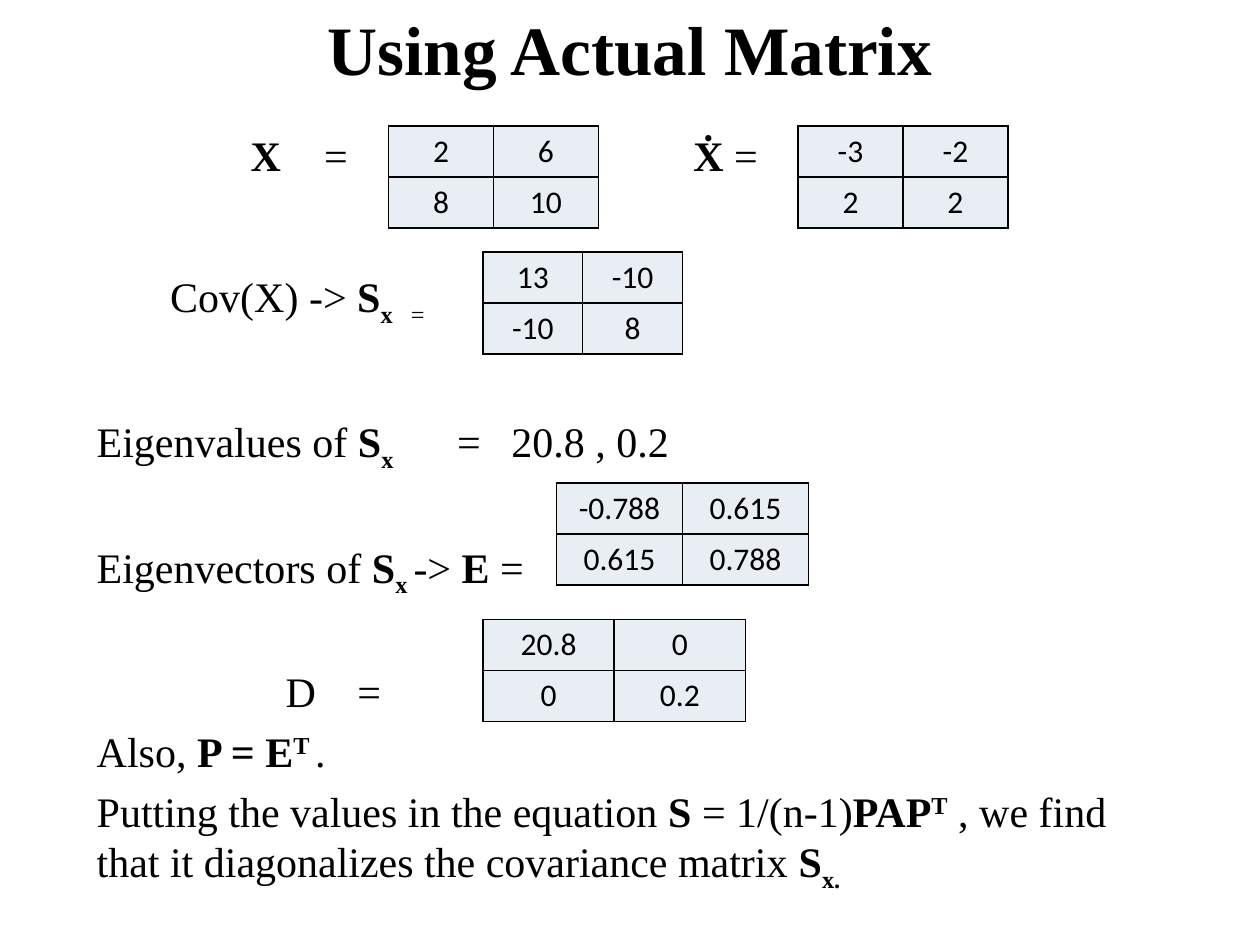
from lxml.etree import SubElement
from pptx import Presentation
from pptx.dml.color import RGBColor
from pptx.enum.text import MSO_ANCHOR, PP_ALIGN
from pptx.oxml.ns import qn
from pptx.util import Pt

BLACK = RGBColor(0x00, 0x00, 0x00)
CELL_FILL = RGBColor(0xE9, 0xED, 0xF4)
SERIF = "Times New Roman"
SANS = "Calibri"
ROW_HEIGHT = 29.2
SUBSCRIPT, SUPERSCRIPT = -25000, 30000

TITLE = "Using Actual Matrix"

# space before, tab stops, runs of (text, bold, baseline)
LINES = [
    (0, (88, 130, 341), [
        ("\t", False, 0), ("X", True, 0), ("\t=\t", False, 0),
        ("Ẋ", True, 0), (" =", False, 0)]),
    (52, (42, 179.5), [
        ("\tCov(X) -> ", False, 0), ("S", True, 0),
        ("x", True, SUBSCRIPT), ("\t=", False, SUBSCRIPT)]),
    (50, (206, 237), [
        ("Eigenvalues of ", False, 0), ("S", True, 0),
        ("x", True, SUBSCRIPT), ("\t=\t20.8 , 0.2", False, 0)]),
    (39, (), [
        ("Eigenvectors of ", False, 0), ("S", True, 0),
        ("x ", True, SUBSCRIPT), ("-> ", False, 0),
        ("E", True, 0), (" =", False, 0)]),
    (38, (108, 149), [("\tD\t=", False, 0)]),
    (5.5, (), [
        ("Also, ", False, 0), ("P = E", True, 0),
        ("T ", True, SUPERSCRIPT), (".", False, 0)]),
    (5.5, (), [
        ("Putting the values in the equation ", False, 0), ("S", True, 0),
        (" = 1/(n-1)", False, 0), ("PAP", True, 0),
        ("T", True, SUPERSCRIPT),
        (" , we find that it diagonalizes the covariance matrix ", False, 0),
        ("S", True, 0), ("x.", True, SUBSCRIPT)]),
]

# left, top, column width, values
MATRICES = [
    (222, 72, 60, [("2", "6"), ("8", "10")]),
    (276, 144, 57, [("13", "-10"), ("-10", "8")]),
    (318, 276, 72, [("-0.788", "0.615"), ("0.615", "0.788")]),
    (456, 72, 60, [("-3", "-2"), ("2", "2")]),
    (276, 354, 75, [("20.8", "0"), ("0", "0.2")]),
]


def add_run(paragraph, text, font_name, size, bold=False, baseline=0):
    run = paragraph.add_run()
    run.text = text
    font = run.font
    font.name, font.size, font.bold = font_name, Pt(size), bold
    font.color.rgb = BLACK
    if baseline:
        run._r.get_or_add_rPr().set("baseline", str(baseline))


def add_tab_stops(paragraph, stops):
    tab_list = SubElement(paragraph._p.get_or_add_pPr(), qn("a:tabLst"))
    for stop in stops:
        SubElement(tab_list, qn("a:tab"), pos=str(Pt(stop)), algn="l")


def add_title(slide):
    frame = slide.shapes.add_textbox(Pt(54), Pt(0), Pt(612), Pt(54)).text_frame
    frame.word_wrap = True
    frame.vertical_anchor = MSO_ANCHOR.MIDDLE
    paragraph = frame.paragraphs[0]
    paragraph.alignment = PP_ALIGN.CENTER
    add_run(paragraph, TITLE, SERIF, 39.6, True)


def add_body(slide):
    frame = slide.shapes.add_textbox(Pt(48.2), Pt(60), Pt(612), Pt(444)).text_frame
    frame.word_wrap = True
    frame.margin_top = Pt(14)
    for index, (space, stops, runs) in enumerate(LINES):
        paragraph = frame.add_paragraph() if index else frame.paragraphs[0]
        paragraph.space_before = Pt(space)
        if stops:
            add_tab_stops(paragraph, stops)
        for text, bold, baseline in runs:
            add_run(paragraph, text, SERIF, 24, bold, baseline)


def style_cell(cell, text):
    properties = cell._tc.get_or_add_tcPr()
    for side in ("lnL", "lnR", "lnT", "lnB"):
        line = SubElement(properties, qn(f"a:{side}"), w=str(Pt(1)))
        fill = SubElement(line, qn("a:solidFill"))
        SubElement(fill, qn("a:srgbClr"), val=str(BLACK))
    cell.fill.solid()
    cell.fill.fore_color.rgb = CELL_FILL
    paragraph = cell.text_frame.paragraphs[0]
    paragraph.alignment = PP_ALIGN.CENTER
    add_run(paragraph, text, SANS, 18)


def add_matrix(slide, left, top, column_width, values):
    rows, columns = len(values), len(values[0])
    table = slide.shapes.add_table(
        rows, columns, Pt(left), Pt(top),
        Pt(column_width * columns), Pt(ROW_HEIGHT * rows)).table
    table.first_row = table.horz_banding = False
    for row, row_values in enumerate(values):
        for column, text in enumerate(row_values):
            style_cell(table.cell(row, column), text)


def main():
    presentation = Presentation()
    presentation.slide_width, presentation.slide_height = Pt(720), Pt(540)
    slide = presentation.slides.add_slide(presentation.slide_layouts[6])
    add_title(slide)
    add_body(slide)
    for matrix in MATRICES:
        add_matrix(slide, *matrix)
    presentation.save("out.pptx")


if __name__ == "__main__":
    main()
